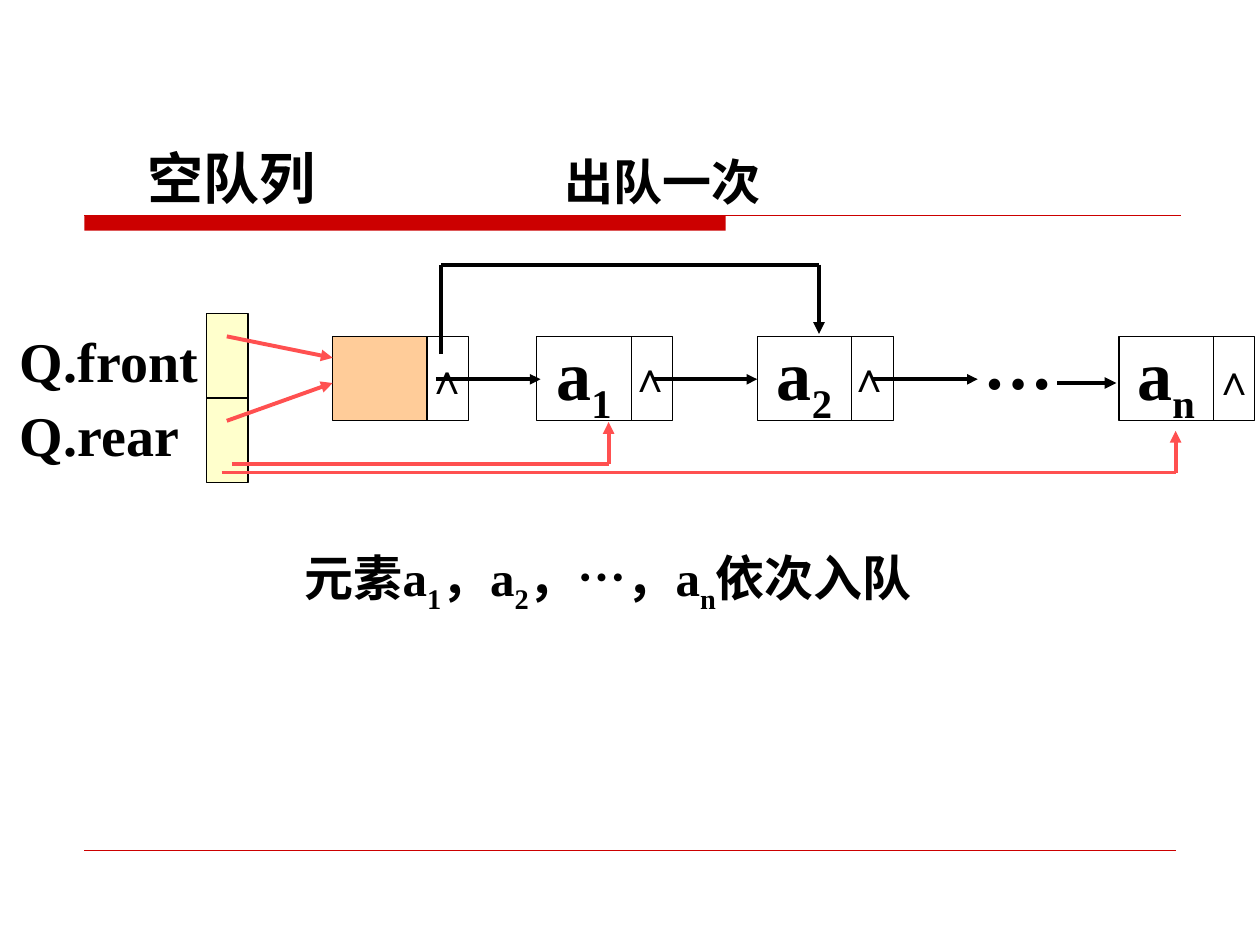
from lxml.etree import SubElement
from pptx import Presentation
from pptx.dml.color import RGBColor
from pptx.enum.shapes import MSO_CONNECTOR, MSO_SHAPE
from pptx.enum.text import MSO_ANCHOR, MSO_AUTO_SIZE, PP_ALIGN
from pptx.oxml.ns import qn
from pptx.util import Pt

PX = 9144  # 100 px to the inch
FONT = "Times New Roman"
COLORS = {
    "black": "000000",
    "rule": "CC0000",
    "pointer": "FF5050",
    "queue": "FFFFCC",
    "head": "FFCC99",
}


def write_text(shape, text, size, align=PP_ALIGN.LEFT, anchor=MSO_ANCHOR.TOP,
               wrap=False, grow=False, line_spacing=None):
    """Fill a shape with bold text; every second part between bars is a subscript."""
    frame = shape.text_frame
    frame.word_wrap = wrap
    frame.vertical_anchor = anchor
    frame.auto_size = MSO_AUTO_SIZE.SHAPE_TO_FIT_TEXT if grow else MSO_AUTO_SIZE.NONE
    for index, line in enumerate(text.split("\n")):
        paragraph = frame.add_paragraph() if index else frame.paragraphs[0]
        paragraph.alignment = align
        if line_spacing:
            paragraph.line_spacing = line_spacing
        for position, part in enumerate(line.split("|")):
            if not part:
                continue
            run = paragraph.add_run()
            run.text = part
            run.font.name = FONT
            run.font.size = Pt(size)
            run.font.bold = True
            run.font.color.rgb = RGBColor.from_string(COLORS["black"])
            if position % 2:
                run.font._element.set("baseline", "-25000")


def add_line(start, end, color="black", width=2.25, arrow=False):
    connector = slide.shapes.add_connector(
        MSO_CONNECTOR.STRAIGHT, *(value * PX for value in start + end))
    connector.line.color.rgb = RGBColor.from_string(COLORS[color])
    connector.line.width = Pt(width)
    if arrow:
        SubElement(connector.line._get_or_add_ln(), qn("a:tailEnd"), type="triangle")
    SubElement(connector._element.spPr, qn("a:effectLst"))


presentation = Presentation()
presentation.slide_width = 1000 * PX
presentation.slide_height = 750 * PX
slide = presentation.slides.add_slide(presentation.slide_layouts[6])

# Title rule and footer rule
rule = slide.shapes.add_shape(MSO_SHAPE.RECTANGLE, 67 * PX, 171 * PX, 509 * PX, 12 * PX)
rule.shadow.inherit = False
rule.fill.solid()
rule.fill.fore_color.rgb = RGBColor.from_string(COLORS["rule"])
rule.line.fill.background()
add_line((67, 171), (937, 171), "rule", 0.75)
add_line((67, 675), (933, 675), "rule", 0.25)

# Queue record and list nodes: each node is a data cell and a link cell
CELL_HEIGHT, DATA_WIDTH, LINK_WIDTH = 67, 75, 33
NODE_TOP, QUEUE_LEFT, QUEUE_TOP = 267, 164, 249
cells = [(QUEUE_LEFT, QUEUE_TOP + row * CELL_HEIGHT, LINK_WIDTH, "queue", "", 24)
         for row in range(2)]
nodes = [(264, "head", "", ""), (426, None, "a|1", ""),
         (601, None, "a|2", ""), (888, None, "a|n", "∧")]
for left, fill, data, link in nodes:
    cells.append((left, NODE_TOP, DATA_WIDTH, fill, data, 40))
    cells.append((left + DATA_WIDTH, NODE_TOP, LINK_WIDTH, None, link, 24))

for left, top, width, fill, text, size in cells:
    cell = slide.shapes.add_shape(
        MSO_SHAPE.RECTANGLE, left * PX, top * PX, width * PX, CELL_HEIGHT * PX)
    cell.shadow.inherit = False
    cell.line.color.rgb = RGBColor.from_string(COLORS["black"])
    cell.line.width = Pt(0.75)
    if fill:
        cell.fill.solid()
        cell.fill.fore_color.rgb = RGBColor.from_string(COLORS[fill])
    else:
        cell.fill.background()
    if text:
        write_text(cell, text, size, align=PP_ALIGN.CENTER, anchor=MSO_ANCHOR.MIDDLE)

# Null marks that the links later replace
for left, top in [(339, 266), (500, 265), (674, 265)]:
    null_mark = slide.shapes.add_textbox(
        left * PX, top * PX, LINK_WIDTH * PX, CELL_HEIGHT * PX)
    write_text(null_mark, "∧", 24, align=PP_ALIGN.CENTER, anchor=MSO_ANCHOR.MIDDLE)

# Labels
labels = [
    (107, 109, 198, 64, "空队列", 32, True, None),
    (438, 115, 175, 57, "出队一次", 28, False, None),
    (6, 249, 162, 128, "Q.front\nQ.rear", 32, False, 1.1),
    (771, 249, 92, 77, "…", 40, True, None),
    (232, 430, 542, 63, "元素a|1|，a|2|，…，a|n|依次入队", 28, True, None),
]
for left, top, width, height, text, size, wrap, line_spacing in labels:
    label = slide.shapes.add_textbox(left * PX, top * PX, width * PX, height * PX)
    write_text(label, text, size, wrap=wrap, grow=True, line_spacing=line_spacing)

# Links between nodes
for start, end in [(346, 429), (518, 601), (692, 776)]:
    add_line((start, 301), (end, 301), width=2, arrow=True)
add_line((839, 304), (886, 304), arrow=True)

# Link that skips the first element after it leaves the queue
add_line((350, 281), (350, 210))
add_line((350, 210), (650, 210))
add_line((650, 210), (650, 265), arrow=True)

# Front and rear pointers
add_line((180, 267), (264, 284), "pointer", arrow=True)
add_line((180, 334), (264, 304), "pointer", arrow=True)
for start, end, level, tip in [(184, 483, 368, 335), (176, 933, 375, 342)]:
    add_line((start, level), (end, level), "pointer")
    add_line((end, level), (end, tip), "pointer", arrow=True)

presentation.save("out.pptx")
